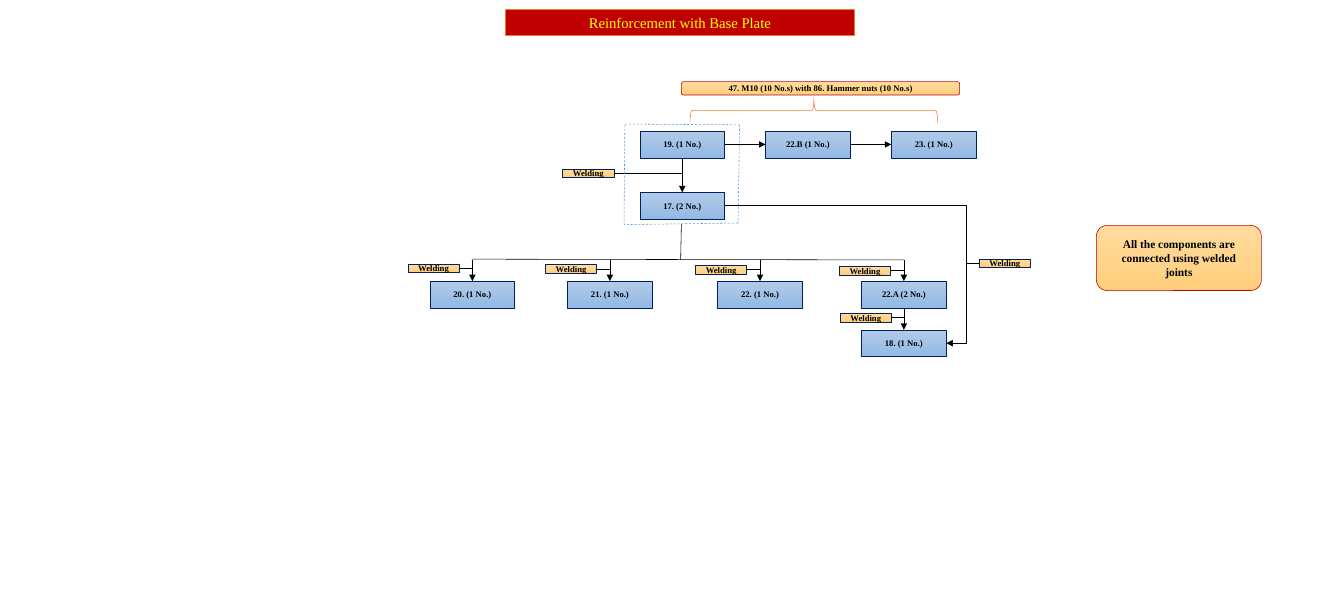
from itertools import pairwise

from lxml import etree
from pptx import Presentation
from pptx import util as u
from pptx.dml.color import RGBColor
from pptx.enum import dml, shapes, text
from pptx.oxml.ns import qn

COLS, ROWS = 171, 75
NODE_W, NODE_H = 10.8, 3.4
TAG_W, TAG_H = 6.5, 1.1
TOP, LEFT, BOTTOM, RIGHT = range(4)
COLORS = {
    "title": "C00000", "title text": "FFFF00", "accent": "ED7D31",
    "text": "000000", "flow": "000000", "frame": "5B9BD5",
    "navy": "002060", "red": "C00000",
    "blue top": "B1CBE9", "blue bottom": "93B9E4",
    "amber top": "FFDB9E", "amber bottom": "FFD07C",
}


def color(name):
    return RGBColor.from_string(COLORS[name])


class Diagram:
    """Draws flow-chart parts on one slide; lengths are grid columns and rows."""

    font, small, line_width = "Times New Roman", 7.9, u.Pt(0.5)

    def __init__(self, deck):
        self.slide = deck.slides.add_slide(deck.slide_layouts[5])
        self.col = deck.slide_width / COLS
        self.row = deck.slide_height / ROWS

    def at(self, x, y):
        return round(x * self.col), round(y * self.row)

    def outline(self, part, tone):
        part.line.color.rgb = color(tone)
        part.line.width = self.line_width

    def label(self, part, words, size, tone="text", bold=True):
        frame = part.text_frame
        frame.text = words
        frame.word_wrap = True
        frame.auto_size = text.MSO_AUTO_SIZE.NONE
        frame.vertical_anchor = text.MSO_ANCHOR.MIDDLE
        line = frame.paragraphs[0]
        line.alignment = text.PP_ALIGN.CENTER
        line.font.name, line.font.size, line.font.bold = self.font, u.Pt(size), bold
        line.font.color.rgb = color(tone)

    def title(self, words, x, y, w, h):
        banner = self.slide.shapes.title
        banner.left, banner.top = self.at(x, y)
        banner.width, banner.height = self.at(w, h)
        banner.fill.solid()
        banner.fill.fore_color.rgb = color("title")
        self.outline(banner, "accent")
        self.label(banner, words, 13.5, "title text", False)

    def box(self, words, x, y, w, h, fill="amber", edge="navy", size=small, rounded=False):
        kind = shapes.MSO_SHAPE.ROUNDED_RECTANGLE if rounded else shapes.MSO_SHAPE.RECTANGLE
        part = self.slide.shapes.add_shape(kind, *self.at(x, y), *self.at(w, h))
        part.shadow.inherit = False
        part.fill.gradient()
        part.fill.gradient_angle = 270
        for stop, end in zip(part.fill.gradient_stops, ("top", "bottom")):
            stop.color.rgb = color(f"{fill} {end}")
        self.outline(part, edge)
        self.label(part, words, size)
        return part

    def node(self, words, x, y):
        return self.box(words, x, y, NODE_W, NODE_H, fill="blue")

    def connect(self, start, end, arrow=False, tone="flow", dashed=False, bend=None):
        """Join two ends, each a grid point or a (shape, side) pair."""
        kind = shapes.MSO_CONNECTOR.STRAIGHT if bend is None else shapes.MSO_CONNECTOR.ELBOW
        joined = [not isinstance(tip[0], (int, float)) for tip in (start, end)]
        points = [(0, 0) if glued else self.at(*tip)
                  for tip, glued in zip((start, end), joined)]
        link = self.slide.shapes.add_connector(kind, *points[0], *points[1])
        if joined[0]:
            link.begin_connect(*start)
        if joined[1]:
            link.end_connect(*end)
        self.outline(link, tone)
        if dashed:
            link.line.dash_style = dml.MSO_LINE.DASH
        props = link._element.spPr
        if arrow:
            etree.SubElement(props.find(qn("a:ln")), qn("a:tailEnd"), type="triangle")
        if bend is not None:
            guides = props.find(qn("a:prstGeom")).find(qn("a:avLst"))
            etree.SubElement(guides, qn("a:gd"), name="adj1", fmla=f"val {round(bend * 100000)}")
        etree.SubElement(props, qn("a:effectLst"))

    def welding(self, x, y, stem, side=RIGHT):
        """Tag a stem column with a welding label and its leader line."""
        tag = self.box("Welding", x, y, TAG_W, TAG_H)
        self.connect((tag, side), (stem, y + TAG_H / 2))

    def brace(self, x, y, w, h):
        part = self.slide.shapes.add_shape(
            shapes.MSO_SHAPE.LEFT_BRACE, *self.at(x, y), *self.at(w, h))
        part.rotation = 90
        part.shadow.inherit = False
        part.fill.background()
        part.adjustments[0] = 0.083
        self.outline(part, "accent")


def main():
    deck = Presentation()
    deck.slide_width, deck.slide_height = u.Inches(17.1), u.Inches(7.5)
    chart = Diagram(deck)
    chart.title("Reinforcement with Base Plate", 64.3, 1.2, 44.4, 3.3)

    # Base assembly inside its dashed frame
    base_x, top_y = 81.4, 16.7
    base = chart.node("19. (1 No.)", base_x, top_y)
    plate = chart.node("17. (2 No.)", base_x, 24.5)
    chart.connect((base, BOTTOM), (plate, TOP), arrow=True)
    chart.welding(71.6, 21.5, base_x + NODE_W / 2)
    corners = [(79.5, 15.8), (94.1, 15.9), (93.9, 28.4), (79.4, 28.6)]
    for start, end in pairwise(corners + corners[:1]):
        chart.connect(start, end, tone="frame", dashed=True)

    # Top row, fastened with nuts
    previous = base
    for step, words in enumerate(("22.B (1 No.)", "23. (1 No.)"), 1):
        current = chart.node(words, base_x + 16 * step, top_y)
        chart.connect((previous, RIGHT), (current, LEFT), arrow=True)
        previous = current
    chart.brace(102, -1.7, 3.1, 31.5)
    chart.box("47. M10 (10 No.s) with 86. Hammer nuts (10 No.s)",
              86.7, 10.4, 35.4, 1.7, edge="red", rounded=True)

    # Welded branches below the assembly
    bus_y = 33.1
    chart.connect((86.7, 28.5), (86.6, bus_y))
    chart.connect((60, 33), (115, bus_y))
    branches = {"20. (1 No.)": 54.7, "21. (1 No.)": 72.2,
                "22. (1 No.)": 91.3, "22.A (2 No.)": 109.6}
    for order, (words, x) in enumerate(branches.items()):
        stem = x + NODE_W / 2
        branch = chart.node(words, x, 35.8)
        chart.connect((stem, bus_y), (branch, TOP), arrow=True)
        chart.welding(x - 2.8, 33.6 + order / 10, stem)

    # The last branch and the plate meet at part 18
    final = chart.node("18. (1 No.)", x, 42)
    chart.connect((branch, BOTTOM), (final, TOP), arrow=True)
    chart.welding(106.9, 39.9, stem)
    chart.connect((plate, RIGHT), (final, RIGHT), arrow=True, bend=1.09)
    chart.welding(124.6, 33, 122.9, side=LEFT)

    chart.box("All the components are connected using welded joints",
              139.5, 28.7, 21, 8.3, edge="red", size=10.5, rounded=True)
    deck.save("out.pptx")


if __name__ == "__main__":
    main()
